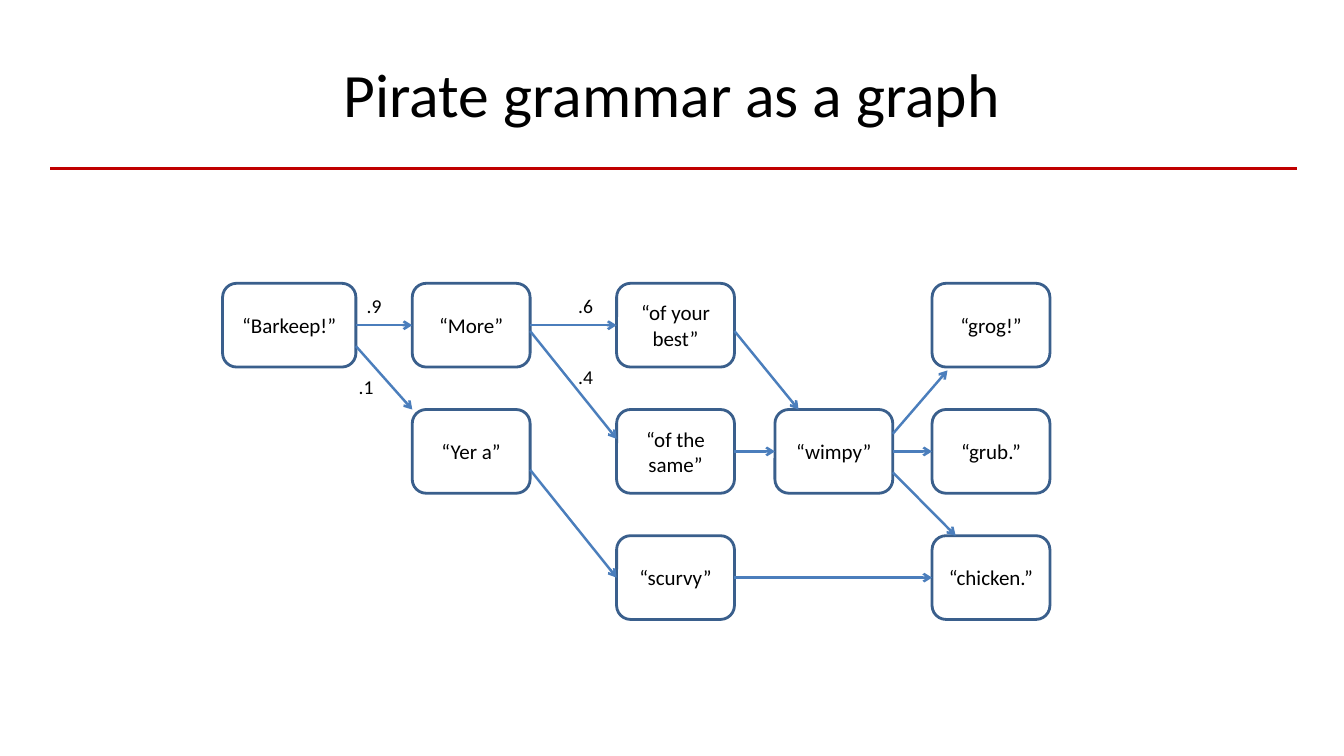
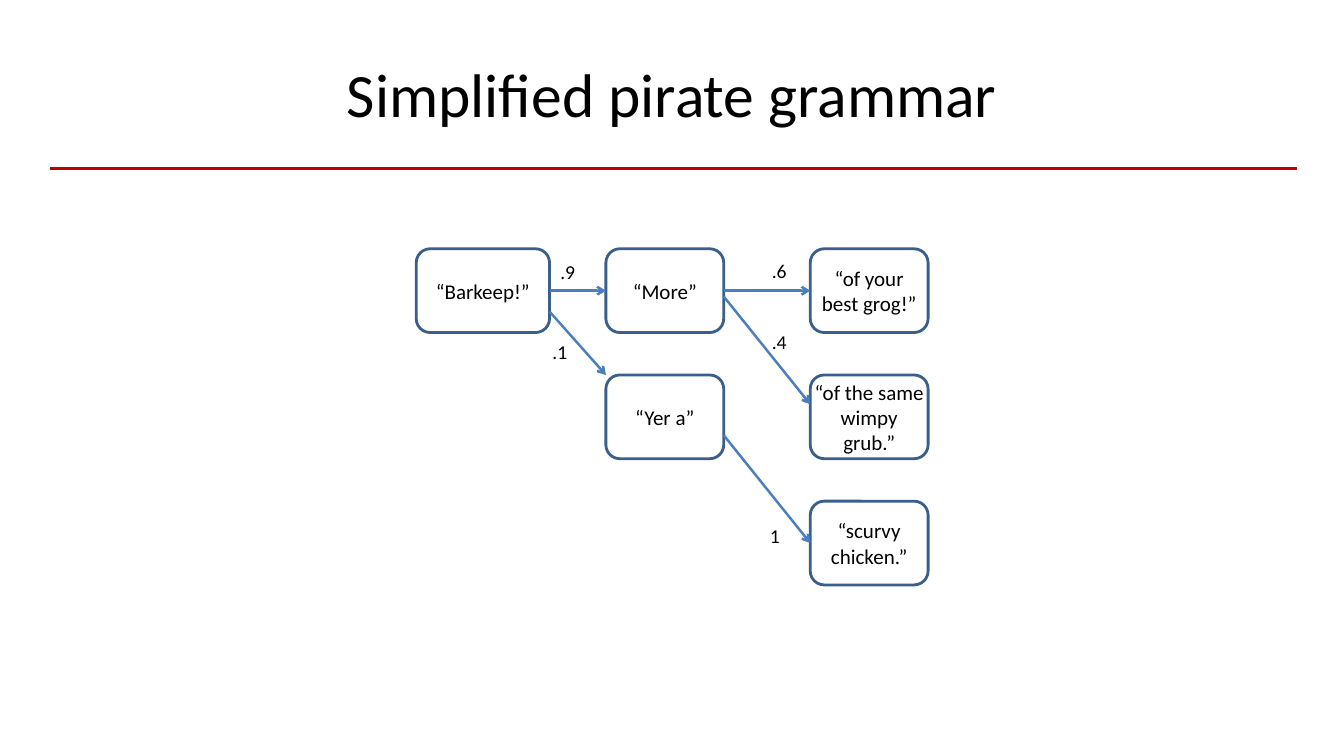
from lxml import etree
from pptx import Presentation
from pptx.dml.color import RGBColor
from pptx.enum.shapes import MSO_CONNECTOR, MSO_SHAPE
from pptx.enum.text import MSO_ANCHOR, MSO_AUTO_SIZE, PP_ALIGN
from pptx.oxml.ns import qn
from pptx.util import Cm, Pt

STRAIGHT = MSO_CONNECTOR.STRAIGHT
ROUND = MSO_SHAPE.ROUNDED_RECTANGLE
MIDDLE, TOP = MSO_ANCHOR.MIDDLE, MSO_ANCHOR.TOP
CENTER, LEFT = PP_ALIGN.CENTER, PP_ALIGN.LEFT
NO_FIT = MSO_AUTO_SIZE.NONE

BLACK = RGBColor(0x00, 0x00, 0x00)
RED = RGBColor(0xC0, 0x00, 0x00)
NAVY = RGBColor(0x3A, 0x5F, 0x8C)
BLUE = RGBColor(0x4B, 0x7E, 0xBC)
FONT = "Calibri"

# Grid of the graph, in cm from its top left corner
COLS = [0, 4.78, 9.93, 13.92, 17.88]
STEP = 3.18
WIDE, WIDTH, HEIGHT = 3.36, 2.97, 2.11
RIGHT_SITE, LEFT_SITE = 3, 1

# Where a link enters its target, as shares of width and height
SIDE = (0, 0.5)

# Nodes: key -> text, column, row
START = {
    "barkeep": ("“Barkeep!”", 0, 0),
    "more": ("“More”", 1, 0),
    "yer": ("“Yer a”", 1, 1),
}
FULL = START | {
    "best": ("“of your best”", 2, 0),
    "same": ("“of the same”", 2, 1),
    "scurvy": ("“scurvy”", 2, 2),
    "wimpy": ("“wimpy”", 3, 1),
    "grog": ("“grog!”", 4, 0),
    "grub": ("“grub.”", 4, 1),
    "chicken": ("“chicken.”", 4, 2),
}
SHORT = START | {
    "best": ("“of your best grog!”", 2, 0),
    "same": ("“of the same wimpy grub.”", 2, 1),
    "scurvy": ("“scurvy chicken.”", 2, 2),
}

# Links: source, target, exit height on the right side, entry point
LINKS = [
    ("barkeep", "more", 0.5, SIDE),
    ("barkeep", "yer", 0.75, (0, 0)),
    ("more", "best", 0.5, SIDE),
    ("more", "same", 0.57, (0, 0.35)),
    ("yer", "scurvy", 0.72, SIDE),
]
MORE_LINKS = [
    ("best", "wimpy", 0.57, (0.2, 0)),
    ("same", "wimpy", 0.5, SIDE),
    ("scurvy", "chicken", 0.5, SIDE),
    ("wimpy", "grog", 0.29, (0.13, 1.04)),
    ("wimpy", "grub", 0.5, SIDE),
    ("wimpy", "chicken", 0.75, (0.2, 0)),
]

# Odds: text, x, y
ODDS = [(".9", 3.38, 0.15), (".1", 3.18, 2.18),
        (".6", 8.71, 0.13), (".4", 8.71, 1.93)]


def write(shape, text, size=15, align=CENTER, anchor=MIDDLE, inset=None):
    frame = shape.text_frame
    frame.word_wrap = True
    frame.auto_size = NO_FIT
    frame.vertical_anchor = anchor
    if inset is not None:
        frame.margin_left = frame.margin_right = Cm(inset)
        frame.margin_top = frame.margin_bottom = Cm(inset)
    para = frame.paragraphs[0]
    para.alignment = align
    run = para.add_run()
    run.text = text
    run.font.name = FONT
    run.font.size = Pt(size)
    run.font.color.rgb = BLACK


def add_line(slide, x1, y1, x2, y2, color, width):
    line = slide.shapes.add_connector(STRAIGHT, x1, y1, x2, y2)
    line.line.color.rgb = color
    line.line.width = Pt(width)
    etree.SubElement(line.element.spPr, qn("a:effectLst"))
    return line


def add_rule(slide):
    """Put the red rule on the layout that all slides share."""
    rule = add_line(slide, Cm(1.27), Cm(4.24), Cm(32.69), Cm(4.24), RED, 2)
    slide.slide_layout.shapes.element.append(rule.element)


def add_title(slide, text):
    title = slide.shapes.title
    title.left, title.top = Cm(1.7), Cm(0.76)
    title.width, title.height = Cm(30.48), Cm(3.18)
    write(title, text, size=44)


def add_node(slide, text, x, y, width):
    node = slide.shapes.add_shape(ROUND, Cm(x), Cm(y), Cm(width), Cm(HEIGHT))
    node.shadow.inherit = False
    node.fill.background()
    node.line.color.rgb = NAVY
    node.line.width = Pt(2)
    write(node, text, inset=0)
    return node


def add_link(slide, source, target, out, entry):
    across, down = entry
    link = add_line(
        slide,
        source.left + source.width,
        source.top + int(source.height * out),
        target.left + int(target.width * across),
        target.top + int(target.height * down),
        BLUE, 1.75)
    if out == 0.5:
        link.begin_connect(source, RIGHT_SITE)
    if entry == SIDE:
        link.end_connect(target, LEFT_SITE)
    stroke = link.line._get_or_add_ln()
    etree.SubElement(stroke, qn("a:tailEnd"), type="arrow")


def add_odds(slide, text, x, y):
    box = slide.shapes.add_textbox(Cm(x), Cm(y), Cm(0.99), Cm(0.86))
    write(box, text, size=14, align=LEFT, anchor=TOP)


def add_graph(slide, left, top, nodes, links, odds):
    shapes = {}
    for key, (text, col, row) in nodes.items():
        width = WIDTH if col else WIDE
        shapes[key] = add_node(slide, text, left + COLS[col],
                               top + row * STEP, width)
    for source, target, out, entry in links:
        add_link(slide, shapes[source], shapes[target], out, entry)
    for text, x, y in odds:
        add_odds(slide, text, left + x, top + y)


def main():
    deck = Presentation()
    deck.slide_width, deck.slide_height = Cm(33.87), Cm(19.05)
    layout = deck.slide_layouts[5]

    # Full grammar
    slide = deck.slides.add_slide(layout)
    add_rule(slide)
    add_title(slide, "Pirate grammar as a graph")
    add_graph(slide, 5.61, 7.14, FULL, LINKS + MORE_LINKS, ODDS)

    # Simplified grammar
    slide = deck.slides.add_slide(layout)
    add_title(slide, "Simplified pirate grammar")
    add_graph(slide, 10.49, 6.27, SHORT, LINKS, ODDS + [("1", 8.66, 6.81)])

    deck.save("out.pptx")


if __name__ == "__main__":
    main()
